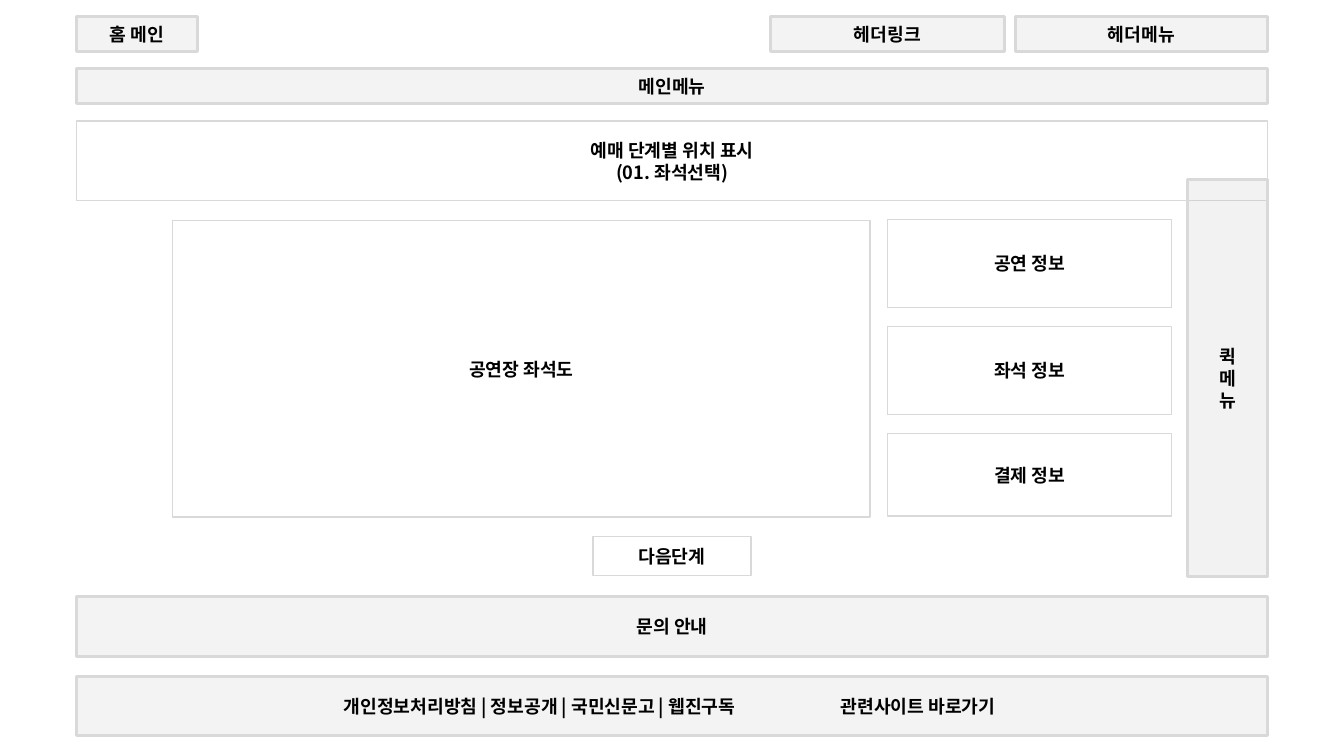
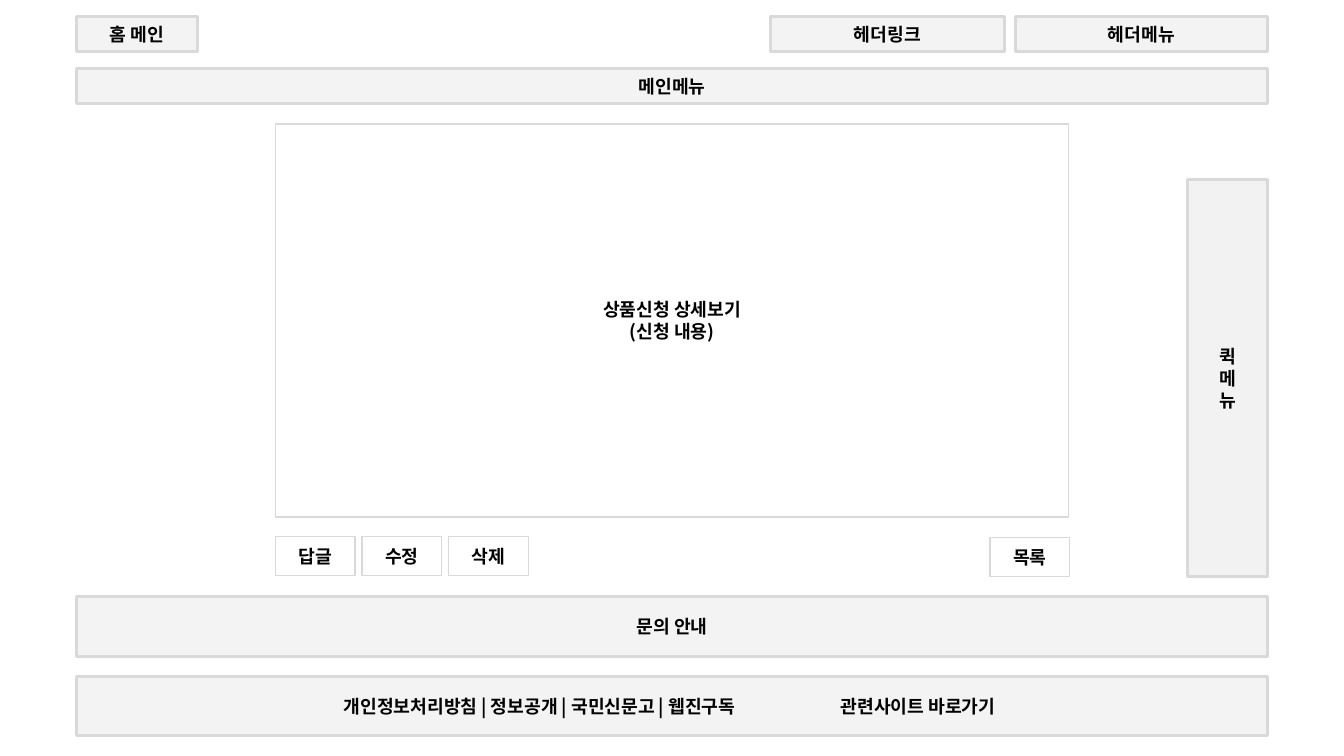
from lxml import etree
from pptx import Presentation
from pptx import util as u
from pptx.dml.color import RGBColor
from pptx.enum import shapes, text
from pptx.oxml import ns

BLACK = RGBColor(0x00, 0x00, 0x00)
WHITE = RGBColor(0xFF, 0xFF, 0xFF)
GREY = RGBColor(0xD9, 0xD9, 0xD9)
DARK_GREY = RGBColor(0xBF, 0xBF, 0xBF)

FONT = "Noto Sans CJK KR"
LEFT, WIDTH = 0.76, 11.81
BAR_HEIGHT, FOOTER_HEIGHT = 0.35, 0.59
BUTTON_TOP, BUTTON_WIDTH, BUTTON_HEIGHT = 5.32, 0.79, 0.39


def add_xml(parent, tag, **attributes):
    return etree.SubElement(parent, ns.qn(tag), attributes)


def format_text(frame):
    frame.word_wrap = True
    frame.vertical_anchor = text.MSO_ANCHOR.MIDDLE
    for para in frame.paragraphs:
        para.alignment = text.PP_ALIGN.CENTER
        para.line_spacing = u.Pt(15.7)
        for span in para.runs:
            span.font.size = u.Pt(13)
            span.font.bold = True
            span.font.color.rgb = BLACK
            span.font.name = FONT
            add_xml(span.font._element, "a:ea", typeface=FONT)


def add_box(page, label, left, top, width, height, fill=WHITE, opacity=100, line=1):
    box = page.shapes.add_shape(
        shapes.MSO_SHAPE.RECTANGLE,
        u.Inches(left), u.Inches(top), u.Inches(width), u.Inches(height))
    box.shadow.inherit = False
    box.fill.solid()
    box.fill.fore_color.rgb = fill
    if opacity < 100:
        color = box.fill._xPr.find(".//" + ns.qn("a:srgbClr"))
        add_xml(color, "a:alpha", val=str(opacity * 1000))
    box.line.color.rgb = GREY
    box.line.width = u.Pt(line)
    box.text_frame.text = label
    format_text(box.text_frame)
    return box


def add_band(page, label, left, top, width, height):
    return add_box(page, label, left, top, width, height, GREY, 30, 2)


def add_button(page, label, left, top=BUTTON_TOP, width=BUTTON_WIDTH):
    return add_box(page, label, left, top, width, BUTTON_HEIGHT)


def add_footer_links(page):
    footer = add_band(
        page, "개인정보처리방침 | 정보공개 | 국민신문고 | 웹진구독\t관련사이트 바로가기",
        LEFT, 6.71, WIDTH, FOOTER_HEIGHT)
    # Left-aligned links, with a tab stop for the related sites
    footer.text_frame.margin_left = u.Inches(2.65)
    para = footer.text_frame.paragraphs[0]
    para.alignment = text.PP_ALIGN.LEFT
    tabs = add_xml(para._p.get_or_add_pPr(), "a:tabLst")
    add_xml(tabs, "a:tab", pos=str(u.Inches(4.93)), algn="l")


def add_site_frame(page):
    # Header
    for label, left, width in (("홈 메인", LEFT, 1.2), ("헤더링크", 7.64, 2.32),
                               ("헤더메뉴", 10.07, 2.5)):
        add_band(page, label, left, 0.16, width, BAR_HEIGHT)
    add_band(page, "메인메뉴", LEFT, 0.68, WIDTH, BAR_HEIGHT)
    # Footer
    add_band(page, "문의 안내", LEFT, 5.92, WIDTH, FOOTER_HEIGHT)
    add_footer_links(page)
    # Quick menu
    add_box(page, "퀵\n메\n뉴", 11.78, 1.78, 0.79, 3.94, DARK_GREY, 20, 2)


def build_seat_page(page):
    add_box(page, "예매 단계별 위치 표시\n(01. 좌석선택)", LEFT, 1.2, WIDTH, 0.79)
    add_box(page, "공연장 좌석도", 1.71, 2.19, 6.92, 2.94)
    # Information cards
    cards = (("공연 정보", 0.87), ("좌석 정보", 0.87), ("결제 정보", 0.82))
    for index, (label, height) in enumerate(cards):
        add_box(page, label, 8.8, 2.18 + 1.06 * index, 2.82, height)
    add_button(page, "다음단계", 5.88, width=1.57)


def build_detail_page(page):
    left = 2.73
    add_box(page, "상품신청 상세보기\n(신청 내용)", left, 1.23, 7.87, 3.9)
    # Actions
    for index, label in enumerate(("답글", "수정", "삭제")):
        add_button(page, label, left + 0.86 * index)
    add_button(page, "목록", 9.82, 5.33)


def main():
    deck = Presentation()
    deck.slide_width = u.Inches(13.33)
    deck.slide_height = u.Inches(7.5)
    for build_content in (build_seat_page, build_detail_page):
        page = deck.slides.add_slide(deck.slide_layouts[6])
        build_content(page)
        add_site_frame(page)
    deck.save("out.pptx")


if __name__ == "__main__":
    main()
